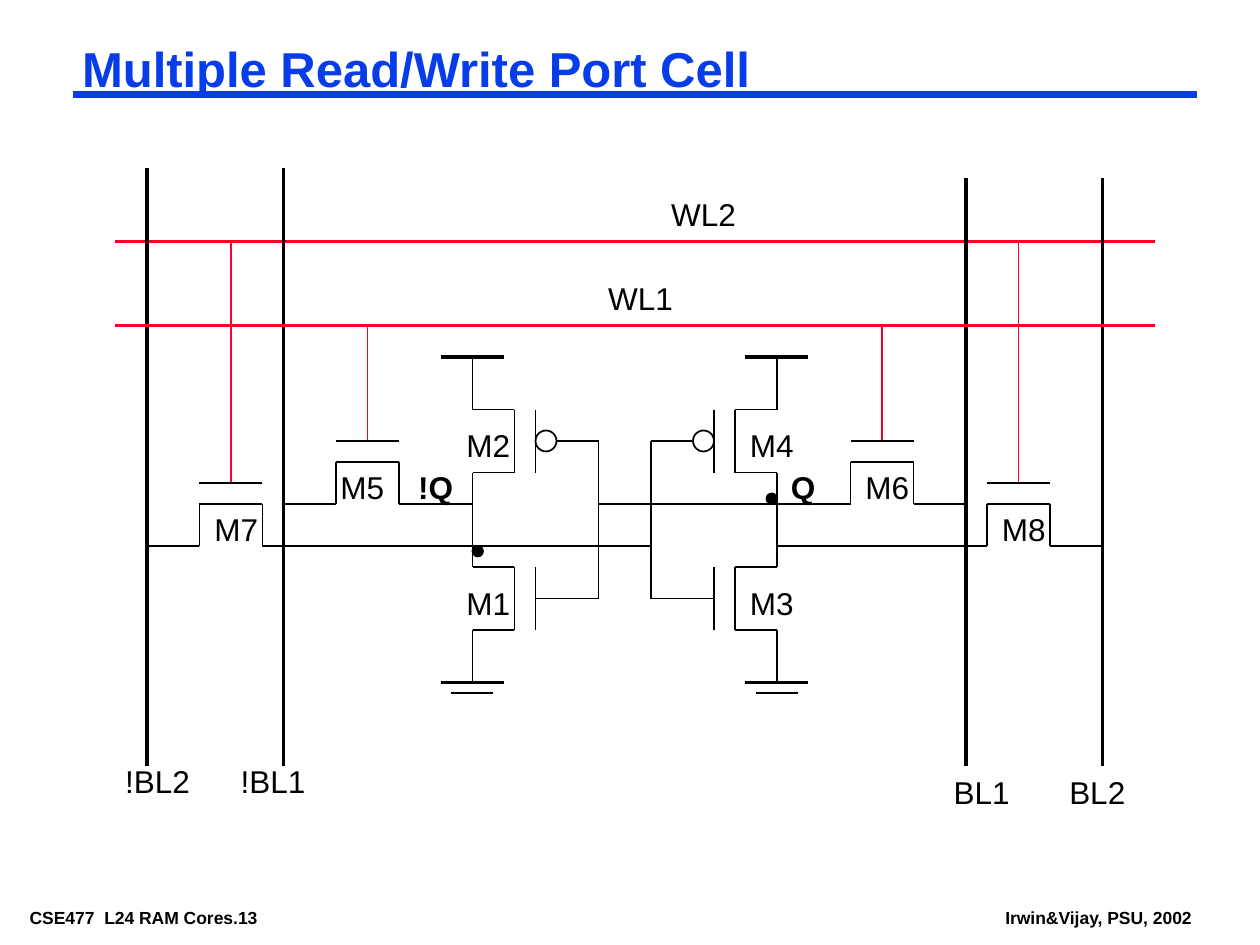
from lxml import etree
from pptx import Presentation
from pptx.dml.color import RGBColor
from pptx.enum.shapes import MSO_CONNECTOR as Connector, MSO_SHAPE as Shape
from pptx.enum.text import PP_ALIGN as Align
from pptx.oxml.ns import qn
from pptx.util import Pt

BLACK, RED, BLUE = "000000", "FC0128", "063DE8"
THIN, THICK = 1, 2.25

presentation = Presentation()
presentation.slide_width, presentation.slide_height = Pt(720), Pt(540)
slide = presentation.slides.add_slide(presentation.slide_layouts[6])


def add_line(x1, y1, x2, y2, color=BLACK, width=THIN):
    line = slide.shapes.add_connector(
        Connector.STRAIGHT, Pt(x1), Pt(y1), Pt(x2), Pt(y2))
    line.line.color.rgb = RGBColor.from_string(color)
    line.line.width = Pt(width)
    etree.SubElement(line._element.spPr, qn("a:effectLst"))


def add_label(text, left, top, width, height=29, size=18, color=BLACK,
              bold=False, align=Align.CENTER, margins=(7.2, 3.6)):
    """Add a one-line text box; margins are horizontal, then vertical."""
    frame = slide.shapes.add_textbox(
        Pt(left), Pt(top), Pt(width), Pt(height)).text_frame
    frame.word_wrap = True
    frame.margin_left = frame.margin_right = Pt(margins[0])
    frame.margin_top = frame.margin_bottom = Pt(margins[1])
    frame.text = text
    paragraph = frame.paragraphs[0]
    paragraph.alignment = align
    font = paragraph.runs[0].font
    font.name, font.size, font.bold = "Arial", Pt(size), bold
    font.color.rgb = RGBColor.from_string(color)
    return paragraph


# Footer and title
for text, left, width in [("CSE477  L24 RAM Cores.13", 12, 177),
                          ("Irwin&Vijay, PSU, 2002", 569.5, 119)]:
    add_label(text, left, 516, width, 16, 10, bold=True, align=Align.LEFT,
              margins=(5, 2.4))
add_line(42, 54, 684, 54, BLUE, 4.5)
title = add_label("Multiple Read/Write Port Cell", 42, 24, 642, 33, 28, BLUE,
                  True, Align.LEFT, (5, 2.4))
title.line_spacing = 0.87

# Word lines and bit lines
word_line_2, word_line_1 = 138, 186
add_line(66, word_line_2, 660, word_line_2, RED, THICK)
for x, top in [(84, 96), (162, 96), (552, 102), (630, 102)]:
    add_line(x, top, x, 438, width=THICK)
add_line(66, word_line_1, 660, word_line_1, RED, THICK)

# Access transistors M7, M5, M6, M8: left edge, gate height, word line
for left, gate, word_line in [(114, 276, word_line_2), (192, 252, word_line_1),
                              (486, 252, word_line_1), (564, 276, word_line_2)]:
    right, channel, base = left + 36, gate + 12, gate + 36
    add_line(left + 18, word_line, left + 18, gate, RED)
    add_line(left, gate, right, gate)
    add_line(left, channel, right, channel)
    for x, lead_end in [(left, left - 30), (right, right + 30)]:
        add_line(x, channel, x, base)
        add_line(x, base, lead_end, base)

# Cross-coupled inverters, mirrored: drain column and gate direction
for drain, side in [(270, 1), (444, -1)]:
    channel, gate, feedback = (drain + side * step for step in (24, 36, 72))
    for top, lead_top, lead_bottom in [(234, 204, 300), (324, 294, 390)]:
        bottom = top + 36
        add_line(channel, top, channel, bottom)
        add_line(gate, top, gate, bottom)
        add_line(drain, lead_top, drain, top)
        add_line(drain, bottom, drain, lead_bottom)
        for y in (top, bottom):
            add_line(drain, y, channel, y)
    add_line(drain + side * 48, 252, feedback, 252)
    add_line(gate, 342, feedback, 342)
    add_line(feedback, 252, feedback, 342)
    for y, half_width, weight in [(204, 18, THICK), (390, 18, THICK),
                                  (396, 12, THIN)]:
        add_line(drain - half_width, y, drain + half_width, y, width=weight)

# Storage node wiring
for x1, x2, y in [(228, 270, 288), (342, 486, 288), (168, 282, 312),
                  (270, 372, 312), (444, 558, 312)]:
    add_line(x1, y, x2, y)

# Gate bubbles (open) and junction dots (filled)
for left, top, diameter, filled in [(306, 246, 12, False), (396, 246, 12, False),
                                    (270, 312, 6, True), (438, 282, 6, True)]:
    circle = slide.shapes.add_shape(
        Shape.OVAL, Pt(left), Pt(top), Pt(diameter), Pt(diameter))
    circle.shadow.inherit = False
    circle.line.color.rgb = RGBColor.from_string(BLACK)
    circle.line.width = Pt(THIN)
    if filled:
        circle.fill.solid()
        circle.fill.fore_color.rgb = RGBColor.from_string(BLACK)
    else:
        circle.fill.background()

# Labels
for text, left, top, width in [
        ("WL2", 372, 108, 60), ("WL1", 336, 156, 60),
        ("!BL2", 60, 432, 60), ("!BL1", 126, 432, 60),
        ("BL1", 534, 438, 54), ("BL2", 600, 438, 54),
        ("M1", 258, 330, 42), ("M2", 258, 240, 42),
        ("M3", 420, 330, 42), ("M4", 420, 240, 42),
        ("M5", 186, 264, 42), ("M6", 486, 264, 42),
        ("M7", 114, 288, 42), ("M8", 564, 288, 42),
        ("!Q", 228, 264, 42), ("Q", 438, 264, 42)]:
    add_label(text, left, top, width, bold=text.endswith("Q"))

presentation.save("out.pptx")
